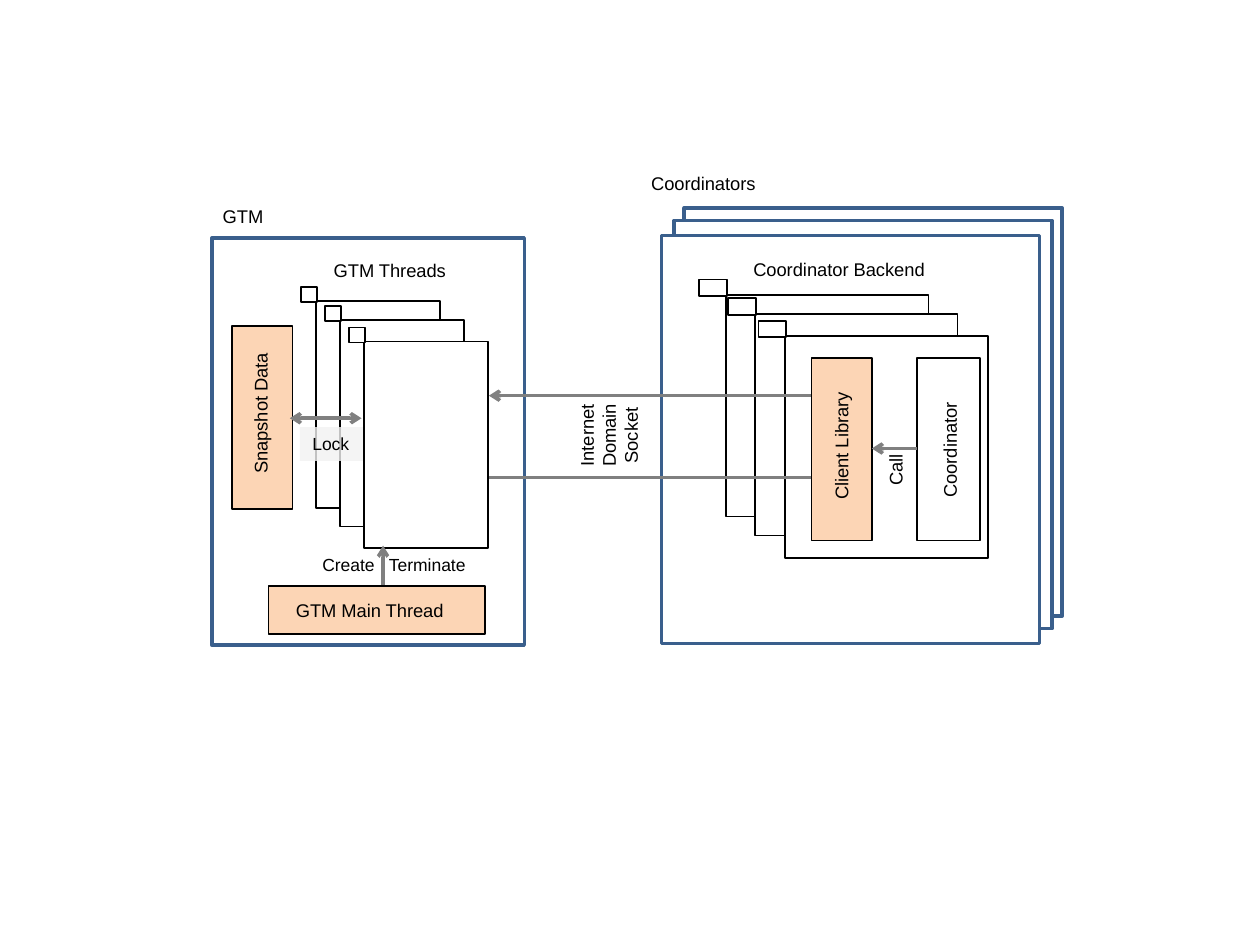
"""Build a slide showing how GTM threads talk to coordinator backends."""
from lxml.etree import SubElement
from pptx import Presentation
from pptx.dml.color import RGBColor
from pptx.enum.shapes import MSO_CONNECTOR as Connector, MSO_SHAPE as Shape
from pptx.enum.text import MSO_AUTO_SIZE as AutoSize, PP_ALIGN as Align
from pptx.oxml.ns import qn
from pptx.util import Pt

COLORS = {"white": "FFFFFF", "frame": "3A5F8C", "black": "000000",
          "accent": "FCD5B5", "arrow": "808080", "lock": "F2F2F2"}

FRAMES = [
    (391, 118.8, 216, 233.3, "white"),
    (385.2, 126, 216, 233.3, "white"),
    (121, 136.1, 178.6, 232.6, None),
    (378, 134.6, 216, 233.3, "white"),
]
STACKS = [
    {"corners": [(180.7, 172.1), (194.4, 182.9), (208.1, 195.1)],
     "size": (70.6, 118.1), "tab": (9.4, 8.6)},
    {"corners": [(414.7, 168.5), (431.3, 179.3), (448.6, 192.2)],
     "size": (115.9, 126.7), "tab": (15.8, 9.4)},
]
TAB_OVERLAP = 0.6
SOCKET_ARROWS = [
    ((484.6, 226.1), (279.4, 226.1), False),
    ((279.4, 272.9), (484.6, 272.9), False),
]
BOXES = [
    (524.2, 204.5, 36, 104.4, "white"),
    (463.7, 204.5, 34.6, 104.4, "accent"),
    (132.5, 186.5, 34.6, 104.4, "accent"),
    (153.4, 334.8, 123.8, 27.4, "accent"),
]
CALL_ARROWS = [
    ((524.2, 256.3), (498.2, 256.3), False),
    ((206.6, 239), (165.6, 239), True),
    ((218.9, 334.1), (218.9, 311.8), False),
]
LABELS = [
    ("GTM Threads", 183.6, 144.7, 95, 10.5),
    ("GTM", 120.2, 113.8, 95, 10.5),
    ("GTM Main Thread", 162, 339.1, 105.1, 10.5),
    ("Create", 177.1, 313.2, 46, 10),
    ("Terminate", 215.2, 313.2, 66, 10),
    ("Coordinators", 365, 95, 95, 10.5),
    ("Coordinator Backend", 423.4, 144, 125.3, 10.5),
]
VERTICAL_LABELS = [
    ("Snapshot Data", 101.5, 226.1, 95, 20.2),
    ("Client Library", 433.4, 244.8, 95, 20.2),
    ("Coordinator", 495.4, 247, 95, 20.2),
    ("Call", 490.3, 258.5, 43.2, 20.2),
    ("Internet Domain Socket", 311, 226.1, 74.2, 45.4),
]


def color(name):
    return RGBColor.from_string(COLORS[name])


def add_box(slide, left, top, width, height, fill, line="black", weight=1):
    shape = slide.shapes.add_shape(Shape.RECTANGLE, Pt(left), Pt(top), Pt(width), Pt(height))
    shape.shadow.inherit = False
    if fill:
        shape.fill.solid()
        shape.fill.fore_color.rgb = color(fill)
    else:
        shape.fill.background()
    shape.line.color.rgb = color(line)
    shape.line.width = Pt(weight)


def add_stack(slide, corners, size, tab):
    for left, top in corners:
        add_box(slide, left, top, *size, "white")
        add_box(slide, left - tab[0] + TAB_OVERLAP, top - tab[1] + TAB_OVERLAP, *tab, "white")


def add_arrow(slide, start, end, both_ends):
    points = [Pt(value) for value in start + end]
    connector = slide.shapes.add_connector(Connector.STRAIGHT, *points)
    connector.line.color.rgb = color("arrow")
    connector.line.width = Pt(2)
    line = connector.line._get_or_add_ln()
    for end_tag in ("a:headEnd", "a:tailEnd") if both_ends else ("a:tailEnd",):
        SubElement(line, qn(end_tag), type="arrow")
    SubElement(connector._element.spPr, qn("a:effectLst"))


def add_label(slide, text, left, top, width, size=10.5, height=20.2, vertical=False):
    label = slide.shapes.add_textbox(Pt(left), Pt(top), Pt(width), Pt(height))
    frame = label.text_frame
    frame.word_wrap = True
    frame.auto_size = AutoSize.SHAPE_TO_FIT_TEXT
    paragraph = frame.paragraphs[0]
    if vertical:
        label.rotation = 270
        paragraph.alignment = Align.CENTER
    run = paragraph.add_run()
    run.text = text
    run.font.name = "Arial"
    run.font.size = Pt(size)
    run.font.color.rgb = color("black")
    return label


def main():
    presentation = Presentation()
    presentation.slide_width, presentation.slide_height = Pt(720), Pt(540)
    slide = presentation.slides.add_slide(presentation.slide_layouts[6])
    for frame in FRAMES:
        add_box(slide, *frame, line="frame", weight=2)
    for stack in STACKS:
        add_stack(slide, **stack)
    for arrow in SOCKET_ARROWS:
        add_arrow(slide, *arrow)
    for box in BOXES:
        add_box(slide, *box)
    for arrow in CALL_ARROWS:
        add_arrow(slide, *arrow)
    for label in LABELS:
        add_label(slide, *label)
    for text, left, top, width, height in VERTICAL_LABELS:
        add_label(slide, text, left, top, width, height=height, vertical=True)
    lock = add_label(slide, "Lock", 171.4, 244.1, 36, size=10, height=19.4)
    lock.fill.solid()
    lock.fill.fore_color.rgb = color("lock")
    lock_color = lock._element.spPr.find(".//" + qn("a:srgbClr"))
    SubElement(lock_color, qn("a:alpha"), val="80000")
    presentation.save("out.pptx")


if __name__ == "__main__":
    main()
